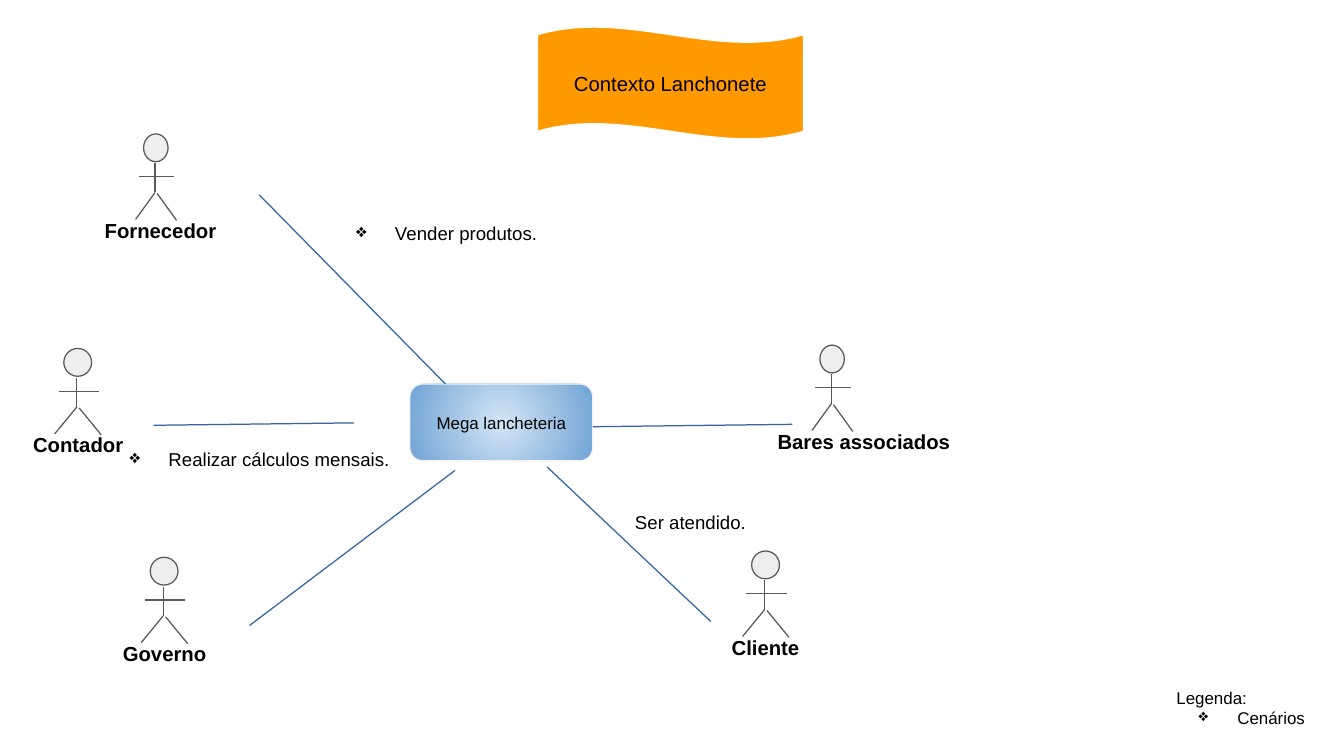
from lxml import etree
from pptx import Presentation
from pptx.dml.color import RGBColor
from pptx.enum import shapes, text
from pptx.oxml import parse_xml
from pptx.oxml.ns import qn
from pptx.util import Cm, Pt

NS = 'xmlns:a="http://schemas.openxmlformats.org/drawingml/2006/main"'
KIND = shapes.MSO_SHAPE
MID = text.PP_ALIGN.CENTER
LEFT = text.PP_ALIGN.LEFT


def color(code):
    return RGBColor.from_string(code)


def write(box, lines, size, align=LEFT, bold=False, pad=0.25):
    frame = box.text_frame
    frame.word_wrap = True
    frame.margin_left = frame.margin_right = Cm(0.25)
    frame.margin_top = frame.margin_bottom = Cm(pad)
    frame.text = "\n".join(line for line, mark in lines)
    for para, (line, mark) in zip(frame.paragraphs, lines):
        para.alignment = align
        font = para.runs[0].font
        font.name, font.size, font.bold = "Arial", Pt(size), bold
        font.color.rgb = color("000000")
        if mark:
            props = para._p.get_or_add_pPr()
            props.set("marL", str(Cm(mark)))
            props.set("indent", str(Cm(-0.81)))
            props.append(parse_xml(f'<a:buClr {NS}><a:srgbClr val="000000"/></a:buClr>'))
            props.append(parse_xml(f'<a:buChar {NS} char="❖"/>'))


deck = Presentation()
deck.slide_width, deck.slide_height = Cm(28), Cm(15.75)
slide = deck.slides.add_slide(deck.slide_layouts[6])
base = slide.shapes

title = base.add_shape(KIND.WAVE, Cm(11.2), Cm(0.56), Cm(5.54), Cm(2.34))
title.adjustments[0] = 0.07
title.fill.solid()
title.fill.fore_color.rgb = color("FF9900")

hub = base.add_shape(KIND.ROUNDED_RECTANGLE, Cm(8.54), Cm(8), Cm(3.81), Cm(1.6))
hub.fill.gradient()
for stop, code in zip(hub.fill.gradient_stops, ("D4E5F5", "70A4D5")):
    stop.color.rgb = color(code)
for stop, place in zip(hub.fill.gradient_stops, (0, 1)):
    stop.position = place
grad = hub._element.spPr.find(qn("a:gradFill"))
grad.remove(grad.find(qn("a:lin")))
ring = etree.SubElement(grad, qn("a:path"), path="circle")
etree.SubElement(ring, qn("a:fillToRect"), l="50000", t="50000", r="50000", b="50000")

for shape, label, size, edge in (
    (title, "Contexto Lanchonete", 12, "FFFFFF"),
    (hub, "Mega lancheteria", 10, "F3F3F3"),
):
    shape.shadow.inherit = False
    shape.line.color.rgb = color(edge)
    shape.line.width = Pt(0.74)
    shape.text_frame.vertical_anchor = text.MSO_ANCHOR.MIDDLE
    write(shape, [(label, 0)], size, MID)

links = [(base, "3465A4", ends) for ends in (
    (5.4, 4.06, 9.28, 8),
    (5.2, 13.03, 9.48, 9.8),
    (3.2, 8.86, 7.37, 8.81),
    (12.35, 8.89, 16.51, 8.84),
    (14.81, 12.95, 11.4, 9.73),
)]

limbs = (
    (0, 0.61, 0, 1.22),
    (-0.38, 0.89, 0.46, 0.89),
    (0, 1.22, -0.46, 1.78),
    (0.05, 1.24, 0.51, 1.8),
)
for name, x, y, scale, left, wide in (
    ("Contador", 1.6, 7.26, 1, 0.08, 3.1),
    ("Fornecedor", 3.23, 2.79, 0.88, 1.3, 4.09),
    ("Governo", 3.4, 11.61, 1, 1.88, 3.1),
    ("Bares associados", 17.32, 7.19, 0.88, 15.42, 5.16),
    ("Cliente", 15.93, 11.48, 1, 14.4, 3.1),
):
    actor = base.add_group_shape().shapes
    head = actor.add_shape(KIND.FLOWCHART_CONNECTOR, Cm(x - 0.27 * scale), Cm(y),
                           Cm(0.58 * scale), Cm(0.58))
    head.shadow.inherit = False
    head.fill.solid()
    head.fill.fore_color.rgb = color("EEEEEE")
    head.line.color.rgb = color("595959")
    head.line.width = Pt(0.74)
    for x1, y1, x2, y2 in limbs:
        ends = (x + x1 * scale, y + y1, x + x2 * scale, y + y2)
        links.append((actor, "595959", ends))
    label = actor.add_textbox(Cm(left), Cm(y + 1.5), Cm(wide), Cm(1.03))
    write(label, [(name, 0)], 12, MID, True)

for owner, code, ends in links:
    link = owner.add_connector(shapes.MSO_CONNECTOR.STRAIGHT, *map(Cm, ends))
    link.line.color.rgb = color(code)
    link.line.width = Pt(0.74)
    etree.SubElement(link._element.spPr, qn("a:effectLst"))

for x, y, wide, high, lines, size, pad in (
    (6.71, 4.39, 9.27, 3.4, [("Vender produtos.", 1.27)], 11, 0.25),
    (1.88, 9.09, 9.27, 2.51, [("Realizar cálculos mensais.", 1.38)], 11, 0.25),
    (12.98, 10.52, 2.9, 1.55, [("Ser atendido.", 0)], 11, 0.13),
    (24.26, 14.07, 3.53, 1.45, [("Legenda:", 0), ("Cenários", 1.27)], 10, 0.25),
):
    write(base.add_textbox(Cm(x), Cm(y), Cm(wide), Cm(high)), lines, size, pad=pad)

deck.save("out.pptx")
